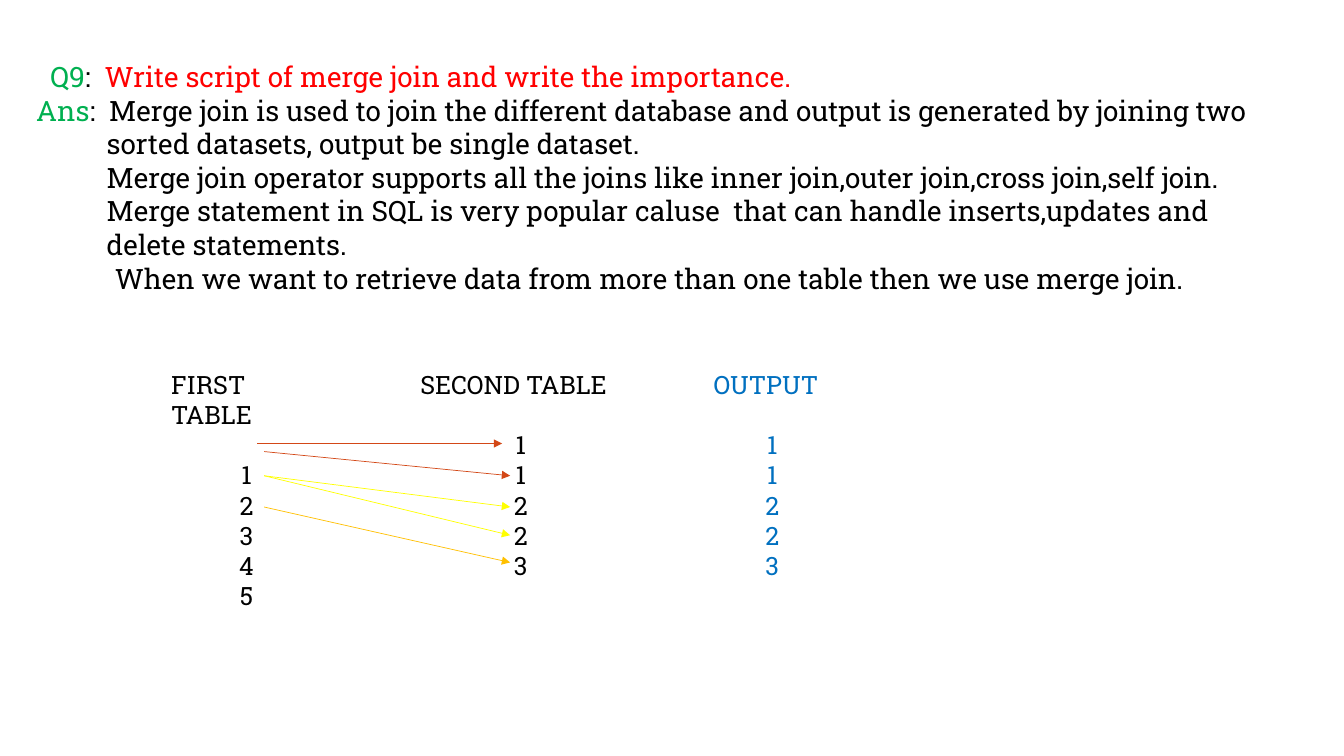
from dataclasses import dataclass

from lxml.etree import SubElement
from pptx import Presentation
from pptx.dml.color import RGBColor
from pptx.enum.shapes import MSO_CONNECTOR
from pptx.enum.text import PP_ALIGN
from pptx.oxml.ns import qn
from pptx.util import Inches, Pt


@dataclass(frozen=True)
class Theme:
    font: str = "Roboto Slab"
    body: int = 20
    table: int = 18
    heading_gap: float = 21.7  # one line of table text, in points
    line: float = 0.5
    black: str = "000000"
    green: str = "00B050"
    red: str = "FF0000"
    blue: str = "0070C0"
    rust: str = "D34817"
    yellow: str = "FFFF00"
    amber: str = "FFC000"


class SlideBuilder:
    """Places elements on a grid whose columns and rows are 0.1 inch."""

    def __init__(self, s, theme):
        self.s = s
        self.theme = theme

    def grid(self, *cells):
        return [Inches(cell / 10) for cell in cells]

    def textbox(self, col, row, cols, rows):
        tf = self.s.shapes.add_textbox(*self.grid(col, row, cols, rows)).text_frame
        tf.word_wrap = True
        return tf

    def paragraph(self, tf, first, runs, size, left=0, hanging=0):
        p = tf.paragraphs[0] if first else tf.add_paragraph()
        p.font.name = self.theme.font
        p.font.size = Pt(size)
        margin, indent = self.grid(left, -hanging)
        pPr = p._p.get_or_add_pPr()
        pPr.set("marL", str(margin))
        pPr.set("indent", str(indent))
        for text, color in runs:
            r = p.add_run()
            r.text = text
            r.font.color.rgb = RGBColor.from_string(color)
        return p

    def answer(self, col, row, cols, rows, paragraphs):
        tf = self.textbox(col, row, cols, rows)
        for i, (left, hanging, runs) in enumerate(paragraphs):
            self.paragraph(tf, i == 0, runs, self.theme.body, left, hanging)

    def column(self, col, row, cols, rows, heading, values, color):
        tf = self.textbox(col, row, cols, rows)
        p = self.paragraph(tf, True, [(heading, color)], self.theme.table)
        p.space_after = Pt(self.theme.heading_gap)
        for value in values:
            p = self.paragraph(tf, False, [(value, color)], self.theme.table)
            p.alignment = PP_ALIGN.CENTER

    def arrow(self, start, end, color):
        c = self.s.shapes.add_connector(
            MSO_CONNECTOR.STRAIGHT, *self.grid(*start, *end))
        c.line.color.rgb = RGBColor.from_string(color)
        c.line.width = Pt(self.theme.line)
        SubElement(c.line._get_or_add_ln(), qn("a:tailEnd"), type="triangle")
        SubElement(c._element.spPr, qn("a:effectLst"))


def main():
    prs = Presentation()
    prs.slide_width, prs.slide_height = Inches(13.33), Inches(7.5)
    theme = Theme()
    b = SlideBuilder(prs.slides.add_slide(prs.slide_layouts[6]), theme)

    # Question and answer: left margin, hanging indent, runs
    black = theme.black
    b.answer(2.6, 5.4, 124.2, 27.9, [
        (1.4, 0, [("Q9", theme.green), (":  ", black),
                  ("Write script of merge join and write the importance.",
                   theme.red)]),
        (7, 7, [("Ans", theme.green),
                (":  Merge join is used to join the different database and "
                 "output is generated by joining two sorted datasets, output "
                 "be single dataset.", black)]),
        (7, 0, [("Merge join operator supports all the joins like inner "
                 "join,outer join,cross join,self join.", black)]),
        (7, 0, [("Merge statement in SQL is very popular caluse  that can "
                 "handle inserts,updates and delete statements.", black)]),
        (7.8, 0, [("When we want to retrieve data from more than one table "
                   "then we use merge join.", black)]),
    ])

    # Columns of the join example
    for col, cols, heading, values, color in [
        (16, 16.9, "FIRST TABLE", "12345", black),
        (40.7, 21.9, "SECOND TABLE", "11223", black),
        (69.8, 13.6, "OUTPUT", "11223", theme.blue),
    ]:
        b.column(col, 36.1, cols, 22.2, heading, values, color)

    # Arrows between matching rows
    left, right = 26.2, 50.6
    b.arrow((25.5, 44), (49.8, 44), theme.rust)
    for start_row, end_row, color in [
        (44.8, 47.2, theme.rust),
        (47.2, 50.3, theme.yellow),
        (47.2, 53.1, theme.yellow),
        (50.3, 55.8, theme.amber),
    ]:
        b.arrow((left, start_row), (right, end_row), color)

    prs.save("out.pptx")


if __name__ == "__main__":
    main()
